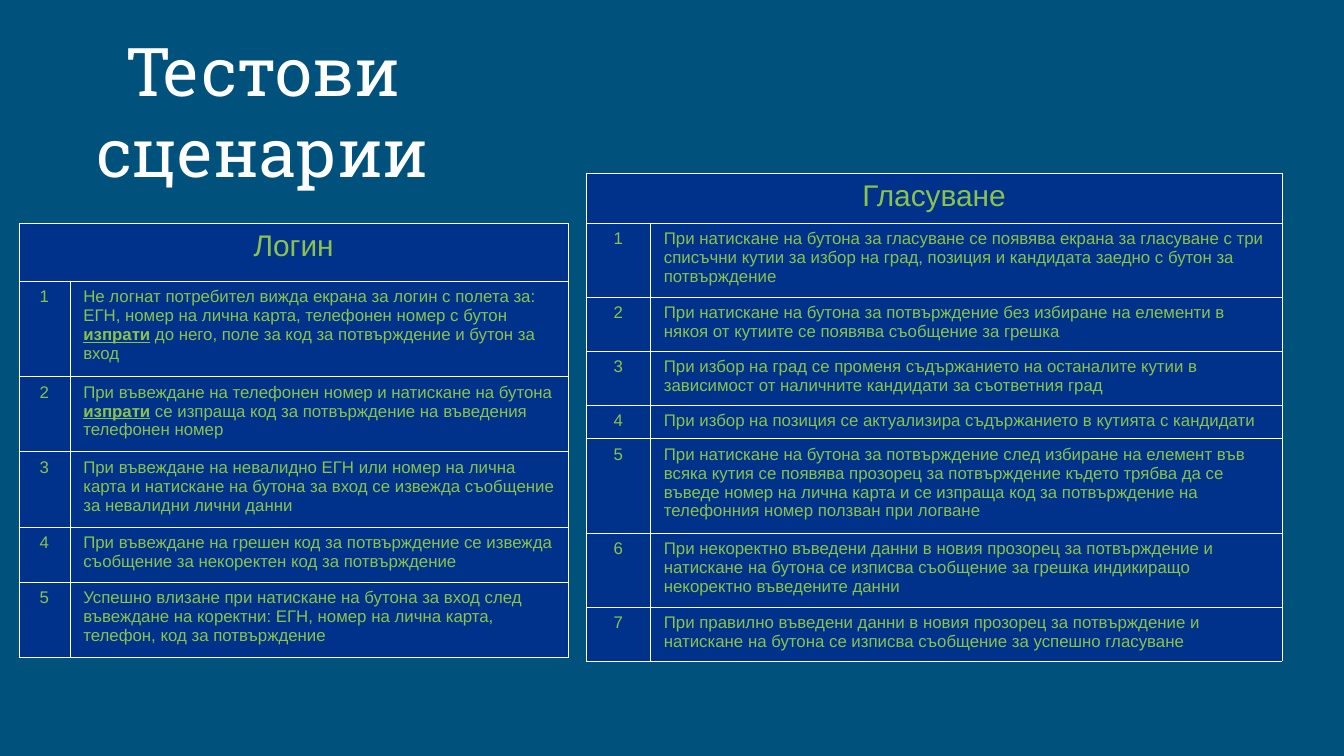
from lxml import etree
from pptx import Presentation
from pptx.dml.color import RGBColor
from pptx.enum import text
from pptx.oxml import ns
from pptx.util import Inches, Pt

COLORS = {"bg": "00517C", "cell": "00328C", "text": "8BC34A", "white": "FFFFFF"}
BORDER_PT = 0.06
KEYWORD = "изпрати"

VOTING = [
    "При натискане на бутона за гласуване се появява екрана за гласуване с три списъчни кутии за избор на град, позиция и кандидата заедно с бутон за потвърждение",
    "При натискане на бутона за потвърждение без избиране на елементи в някоя от кутиите се появява съобщение за грешка",
    "При избор на град се променя съдържанието на останалите кутии в зависимост от наличните кандидати за съответния град",
    "При избор на позиция се актуализира съдържанието в кутията с кандидати",
    "При натискане на бутона за потвърждение след избиране на елемент във всяка кутия се появява прозорец за потвърждение където трябва да се въведе номер на лична карта и се изпраща код за потвърждение на телефонния номер ползван при логване",
    "При некоректно въведени данни в новия прозорец за потвърждение и натискане на бутона се изписва съобщение за грешка индикиращо некоректно въведените данни",
    "При правилно въведени данни в новия прозорец за потвърждение и натискане на бутона се изписва съобщение за успешно гласуване",
]
LOGIN = [
    "Не логнат потребител вижда екрана за логин с полета за: ЕГН, номер на лична карта, телефонен номер с бутон изпрати до него, поле за код за потвърждение и бутон за вход",
    "При въвеждане на телефонен номер и натискане на бутона изпрати се изпраща код за потвърждение на въведения телефонен номер",
    "При въвеждане на невалидно ЕГН или номер на лична карта и натискане на бутона за вход се извежда съобщение за невалидни лични данни",
    "При въвеждане на грешен код за потвърждение се извежда съобщение за некоректен код за потвърждение",
    "Успешно влизане при натискане на бутона за вход след въвеждане на коректни: ЕГН, номер на лична карта, телефон, код за потвърждение",
]


def rgb(name):
    """Return the named colour."""
    return RGBColor.from_string(COLORS[name])


def add_run(p, content, color, **fmt):
    """Append a run with the given font values."""
    r = p.add_run()
    r.text = content
    r.font.color.rgb = rgb(color)
    for key, value in fmt.items():
        setattr(r.font, key, value)


def set_borders(cell):
    """Draw thin white lines on all four sides of a cell."""
    pr = cell._tc.get_or_add_tcPr()
    for i, side in enumerate(("lnL", "lnR", "lnT", "lnB")):
        ln = etree.Element(ns.qn("a:" + side), w=str(Pt(BORDER_PT)))
        fill = etree.SubElement(ln, ns.qn("a:solidFill"))
        etree.SubElement(fill, ns.qn("a:srgbClr"), val=COLORS["white"])
        pr.insert(i, ln)


def fill_cell(cell, content, size, centered):
    """Write a cell's text, with the keyword bold and underlined."""
    p = cell.text_frame.paragraphs[0]
    if centered:
        p.alignment = text.PP_ALIGN.CENTER
    before, word, after = content.partition(KEYWORD)
    for part in filter(None, (before, word, after)):
        marked = part == KEYWORD
        add_run(p, part, "text", name="Arial", size=Pt(size), bold=marked, underline=marked)


def add_scenarios(s, left, top, cols, rows, heading, steps):
    """Add a table with a merged heading and numbered steps."""
    box = [Inches(v) for v in (left, top, sum(cols), sum(rows))]
    tbl = s.shapes.add_table(len(rows), len(cols), *box).table
    for items, sizes, attr in ((tbl.columns, cols, "width"), (tbl.rows, rows, "height")):
        for item, size in zip(items, sizes):
            setattr(item, attr, Inches(size))
    for cell in tbl.iter_cells():
        cell.fill.solid()
        cell.fill.fore_color.rgb = rgb("cell")
        set_borders(cell)
    tbl.cell(0, 0).merge(tbl.cell(0, 1))
    fill_cell(tbl.cell(0, 0), heading, 16, True)
    for i, step in enumerate(steps, 1):
        fill_cell(tbl.cell(i, 0), str(i), 9, True)
        fill_cell(tbl.cell(i, 1), step, 9, False)


def add_title(s, content, left, top, width, height):
    """Add the centred slide title."""
    sp = s.shapes.add_textbox(*[Inches(v) for v in (left, top, width, height)])
    tf = sp.text_frame
    tf.word_wrap = True
    for side in ("left", "right", "top", "bottom"):
        setattr(tf, "margin_" + side, Inches(0.1))
    p = tf.paragraphs[0]
    p.alignment = text.PP_ALIGN.CENTER
    add_run(p, content, "white", name="Roboto Slab", size=Pt(36))


def main():
    """Build and save the slide."""
    prs = Presentation()
    prs.slide_width = Inches(10)
    prs.slide_height = prs.slide_width * 9 // 16
    s = prs.slides.add_slide(prs.slide_layouts[6])
    s.background.fill.solid()
    s.background.fill.fore_color.rgb = rgb("bg")
    add_title(s, "Тестови сценарии", 0.23, 0.12, 3.45, 1.63)
    add_scenarios(s, 4.36, 1.29, [0.48, 4.7],
                  [0.36, 0.54, 0.4, 0.4, 0.25, 0.69, 0.54, 0.4], "Гласуване", VOTING)
    add_scenarios(s, 0.14, 1.66, [0.38, 3.71],
                  [0.43, 0.71, 0.56, 0.56, 0.41, 0.56], "Логин", LOGIN)
    prs.save("out.pptx")


main()
